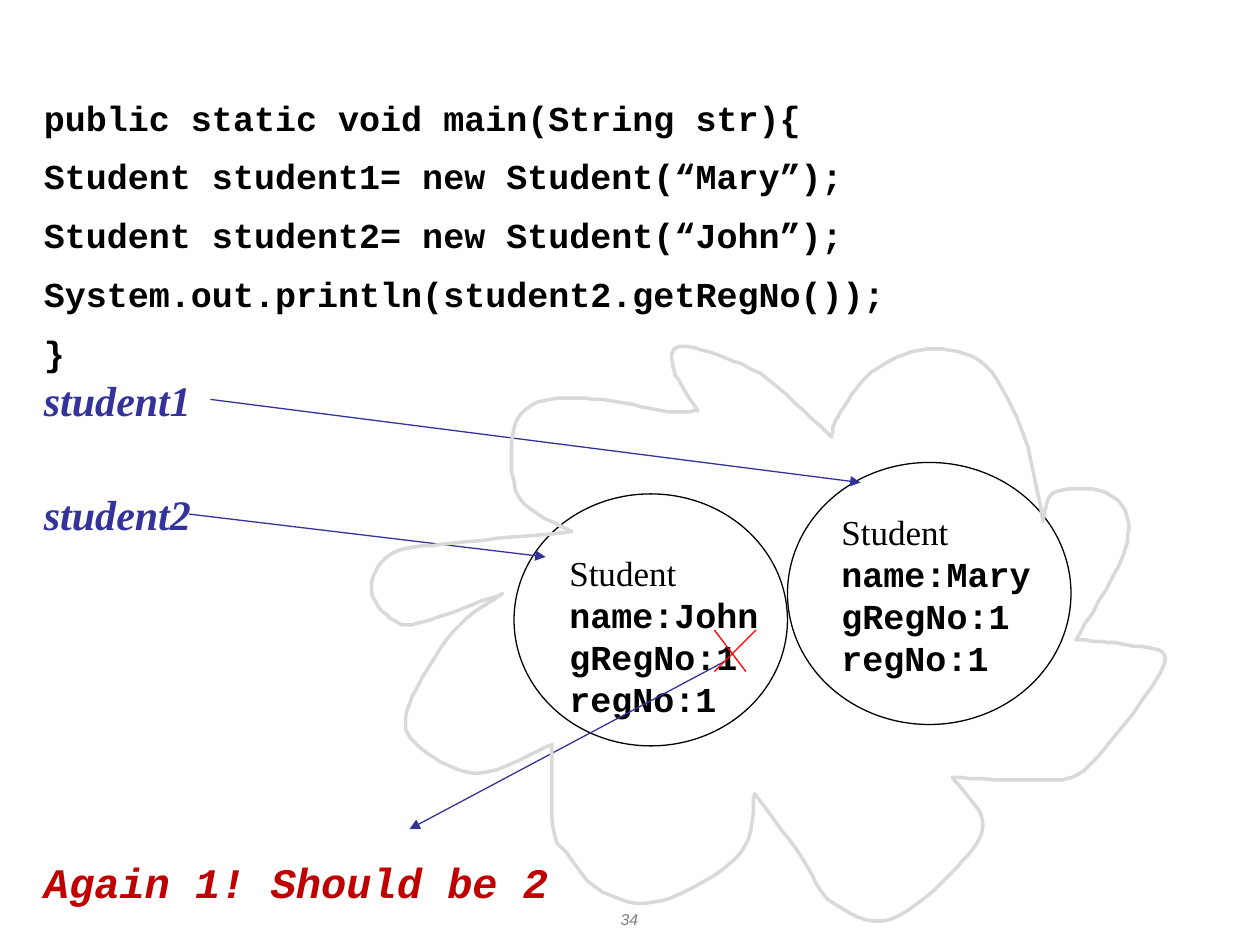
from pptx import Presentation
from pptx.dml.color import RGBColor
from pptx.enum.shapes import MSO_CONNECTOR as Link, MSO_SHAPE as Shape
from pptx.enum.text import MSO_AUTO_SIZE as Fit, PP_ALIGN as Align
from pptx.oxml.ns import qn
from pptx.util import Pt
from lxml.etree import SubElement

PX = 9144
MONO, SERIF = "Courier New", "Times New Roman"
BLACK, BLUE, RED = "000000", "333399", "FF0000"


def ink(color):
    return RGBColor.from_string(color)


def write(box, lines, size, color, wrap=True, fit=True):
    area = shapes.add_textbox(*[n * PX for n in box])
    frame = area.text_frame
    frame.word_wrap = wrap
    frame.auto_size = Fit.SHAPE_TO_FIT_TEXT if fit else Fit.NONE
    frame.text = "\n".join(text for text, *look in lines)
    for para, (text, face, bold, slant) in zip(frame.paragraphs, lines):
        font = para.font
        font.size, font.name = Pt(size), face
        font.bold, font.italic = bold, slant
        font.color.rgb = ink(color)
    return frame


deck = Presentation()
deck.slide_width, deck.slide_height = 1000 * PX, 750 * PX
slide = deck.slides.add_slide(deck.slide_layouts[6])
shapes = slide.shapes

for name, top in [("student1", 292), ("student2", 383)]:
    write((25, top, 192, 50), [(name, SERIF, True, True)], 24, BLUE)

for name, left, top in [("Mary", 658, 400), ("John", 442, 433)]:
    lines = [("Student", SERIF, False, False)]
    for field in [f"name:{name}", "gRegNo:1", "regNo:1"]:
        lines.append((field, MONO, True, False))
    write((left, top, 170, 144), lines, 20, BLACK, wrap=False)

write((25, 675, 442, 50),
      [("Again 1! Should be 2", MONO, True, True)], 24, "C00000")

for box in [(625, 367, 225, 208), (408, 392, 217, 200)]:
    oval = shapes.add_shape(Shape.OVAL, *[n * PX for n in box])
    oval.shadow.inherit = False
    oval.fill.background()
    oval.line.color.rgb = ink(BLACK)
    oval.line.width = Pt(0.75)

links = [
    ((167, 317, 683, 383), BLUE),
    ((150, 408, 433, 442), BLUE),
    ((575, 525, 325, 658), BLUE),
    ((567, 500, 592, 533), RED),
    ((600, 500, 567, 533), RED),
]
for ends, color in links:
    link = shapes.add_connector(Link.STRAIGHT, *[n * PX for n in ends])
    link.line.color.rgb = ink(color)
    link.line.width = Pt(0.75)
    if color == BLUE:
        SubElement(link.line._get_or_add_ln(), qn("a:tailEnd"), type="triangle")
    SubElement(link._element.spPr, qn("a:effectLst"))

code = [
    "public static void main(String str){",
    "Student student1= new Student(“Mary”);",
    "Student student2= new Student(“John”);",
    "System.out.println(student2.getRegNo());",
    "}",
]
frame = write((25, 58, 850, 244),
              [(text, MONO, True, False) for text in code], 20, BLACK)
for para in frame.paragraphs:
    para.line_spacing = 1.4

petals = [
    [(360, 501), (325, 559), (329, 589), (378, 614), (438, 591)],
    [(439, 657), (452, 680), (478, 708), (525, 715), (587, 678), (599, 630)],
    [(636, 680), (660, 716), (706, 730), (760, 688), (780, 653), (756, 617)],
    [(828, 619), (865, 607), (924, 527), (895, 512), (854, 508)],
    [(891, 442), (893, 405), (871, 389), (836, 391), (828, 414)],
    [(813, 347), (782, 290), (736, 277), (692, 295), (665, 331), (660, 347)],
    [(612, 303), (578, 285), (539, 275), (535, 294), (554, 326)],
    [(530, 327), (484, 318), (432, 318), (408, 340), (412, 395), (454, 422)],
    [(360, 431), (310, 440), (295, 470), (317, 495), (347, 490), (399, 471)],
]
start = petals[-1][-1]
tip, edge = start, []
for petal in petals:
    knots = [tip, tip, *petal, petal[-1]]
    for a, b, c, d in zip(knots, knots[1:], knots[2:], knots[3:]):
        for step in range(1, 9):
            t = step / 8
            edge.append([
                q + t * (r - p + t * (2 * p - 5 * q + 4 * r - s
                                      + t * (3 * q - p - 3 * r + s))) / 2
                for p, q, r, s in zip(a, b, c, d)
            ])
    tip = petal[-1]
path = shapes.build_freeform(*start, scale=PX)
path.add_line_segments(edge, close=True)
heap = path.convert_to_shape()
heap.shadow.inherit = False
heap.fill.background()
heap.line.color.rgb = ink("D9D9D9")
heap.line.width = Pt(2)

frame = write((383, 717, 233, 26), [("34", "Arial", False, True)], 9,
              "808080", fit=False)
frame.paragraphs[0].alignment = Align.CENTER

deck.save("out.pptx")
